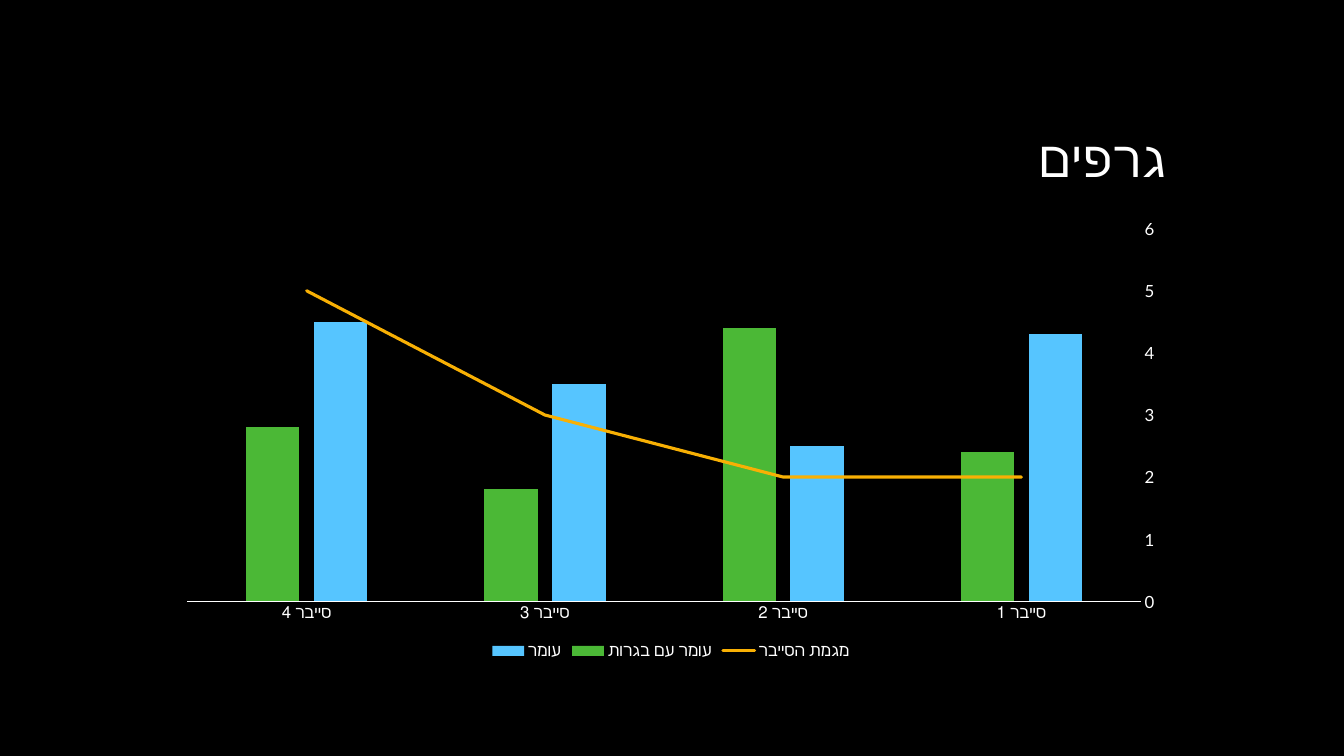
"""Build a slide with a right-to-left column and line chart."""
from lxml import etree
from pptx import Presentation
from pptx.chart.data import CategoryChartData as Data
from pptx.dml.color import RGBColor
from pptx.enum.chart import XL_CHART_TYPE as Kind, XL_LEGEND_POSITION as Spot
from pptx.enum.chart import XL_MARKER_STYLE as Mark, XL_TICK_MARK as Tick
from pptx.enum.text import MSO_ANCHOR as Anchor, MSO_AUTO_SIZE as Fit, PP_ALIGN as Align
from pptx.oxml.ns import qn
from pptx.util import Inches, Pt

BLACK = RGBColor(0x00, 0x00, 0x00)
WHITE = RGBColor(0xFF, 0xFF, 0xFF)
BLUE = RGBColor(0x56, 0xC5, 0xFF)
GREEN = RGBColor(0x4B, 0xB8, 0x36)
GOLD = RGBColor(0xF8, 0xB0, 0x04)


def style(font, size, name="Lato"):
    font.size = Pt(size)
    font.name = name
    font.color.rgb = WHITE


prs = Presentation()
prs.slide_width, prs.slide_height = Inches(13.33), Inches(7.5)
slide = prs.slides.add_slide(prs.slide_layouts[5])
slide.background.fill.solid()
slide.background.fill.fore_color.rgb = BLACK

title = slide.shapes.title
title.left, title.top = Inches(1.66), Inches(0.42)
title.width, title.height = Inches(10), Inches(1.5)
frame = title.text_frame
frame.text = "גרפים"
frame.word_wrap = True
frame.auto_size = Fit.NONE
frame.vertical_anchor = Anchor.BOTTOM
para = frame.paragraphs[0]
para.alignment = Align.RIGHT
para.line_spacing = 0.9
para._p.get_or_add_pPr().set("rtl", "1")
run = para.runs[0]
style(run.font, 36)
run._r.get_or_add_rPr().set("spc", "100")

data = Data()
data.categories = [f"סייבר {n}" for n in range(1, 5)]
data.add_series("עומר", (4.3, 2.5, 3.5, 4.5))
data.add_series("עומר עם בגרות", (2.4, 4.4, 1.8, 2.8))
data.add_series("מגמת הסייבר", (2, 2, 3, 5))
chart = slide.shapes.add_chart(
    Kind.COLUMN_CLUSTERED, Inches(1.66), Inches(2.08), Inches(9.99), Inches(4.5), data
).chart
style(chart.font, 10, "Cabin")
chart.has_title = False
chart.has_legend = True
chart.legend.position = Spot.BOTTOM
chart.legend.include_in_layout = False
style(chart.legend.font, 12)

cats, vals = chart.category_axis, chart.value_axis
for axis in (cats, vals):
    axis.major_tick_mark = axis.minor_tick_mark = Tick.NONE
    axis.has_major_gridlines = False
    style(axis.tick_labels.font, 12)
cats.reverse_order = True
cats.format.line.color.rgb = WHITE
cats.format.line.width = Pt(0.75)
vals.format.line.fill.background()
vals.minimum_scale, vals.maximum_scale, vals.major_unit = 0, 6, 1

bars = chart.plots[0]
bars.gap_width, bars.overlap = 219, -27
bars.vary_by_categories = False
for series, color in zip(bars.series, (BLUE, GREEN)):
    series.format.fill.solid()
    series.format.fill.fore_color.rgb = color

group = bars._element
trend = group.findall(qn("c:ser"))[2]
for flag in trend.findall(qn("c:invertIfNegative")):
    trend.remove(flag)
lines = group.makeelement(qn("c:lineChart"))
group.addnext(lines)
etree.SubElement(lines, qn("c:grouping")).set("val", "standard")
etree.SubElement(lines, qn("c:varyColors")).set("val", "0")
lines.append(trend)
etree.SubElement(lines, qn("c:marker")).set("val", "1")
for key in group.findall(qn("c:axId")):
    etree.SubElement(lines, qn("c:axId")).set("val", key.get("val"))

curve = chart.plots[1].series[0]
curve.smooth = False
curve.marker.style = Mark.NONE
curve.format.line.color.rgb = GOLD
curve.format.line.width = Pt(2.25)
curve.format.line._get_or_add_ln().set("cap", "rnd")

prs.save("out.pptx")
